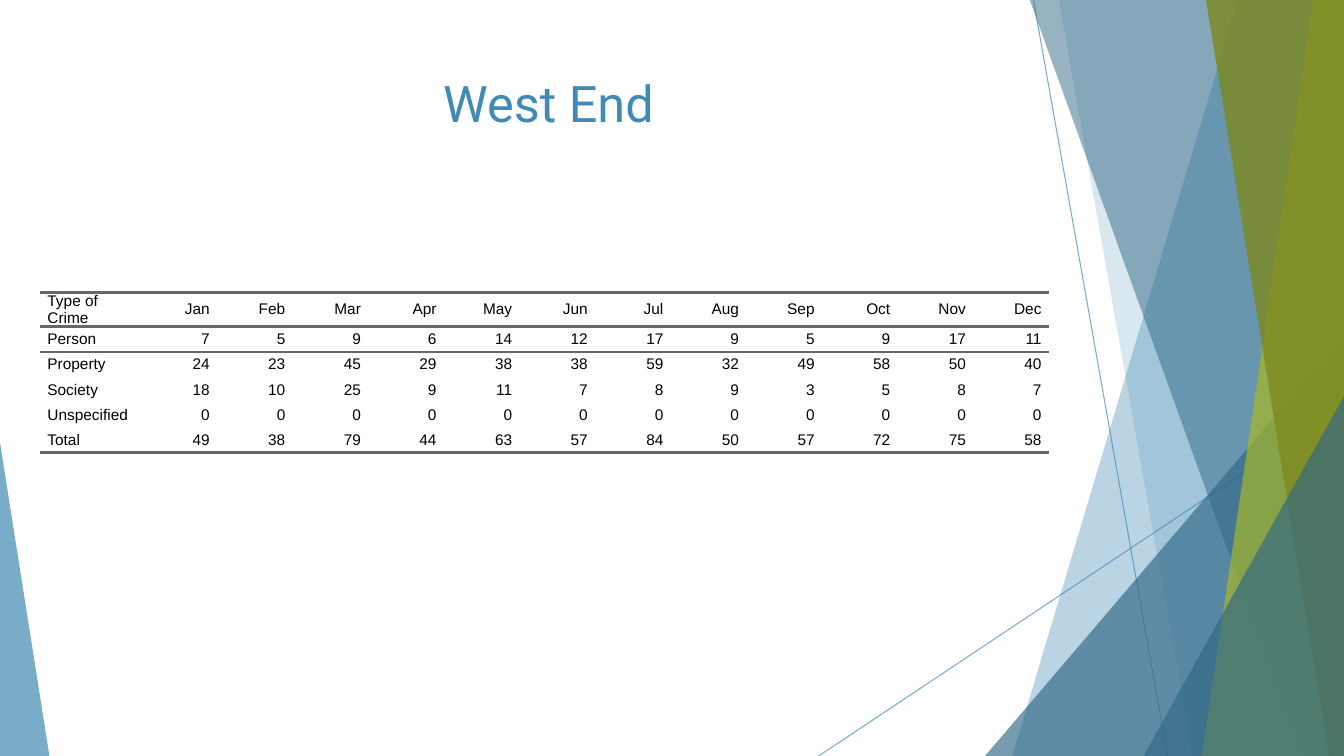
from dataclasses import dataclass

import pptx
import pptx.dml.color
import pptx.enum.shapes
import pptx.enum.text
import pptx.oxml
import pptx.oxml.ns
import pptx.util

Inches = pptx.util.Inches
Pt = pptx.util.Pt
qn = pptx.oxml.ns.qn

WIDTH, HEIGHT = 13.33, 7.5
COLORS = {
    "blue": "418AB3",
    "navy": "316886",
    "lime": "A6B727",
    "olive": "7D891D",
    "rule": "666666",
    "text": "000000",
}


@dataclass
class Ray:
    x1: float
    y1: float
    x2: float
    y2: float


@dataclass
class Panel:
    """Full-height shape from a slanted left side to the slide's right edge."""
    top_x: float
    bottom_x: float
    color: str
    alpha: int


@dataclass
class Wedge:
    """Triangle on the slide's bottom edge with its apex at one end."""
    left: float
    top: float
    width: float
    apex: int
    color: str
    alpha: int


RAYS = [Ray(10.25, 0, 11.58, HEIGHT), Ray(WIDTH, 4.03, 8.12, HEIGHT)]
FACETS = [
    Panel(12.28, 10.04, "blue", 36),
    Panel(10.5, 11.83, "blue", 20),
    Wedge(9.77, 3.33, 3.56, 1, "navy", 66),
    Panel(10.21, 12.91, "navy", 50),
    Panel(13.03, 11.92, "lime", 70),
    Panel(11.96, 13.18, "olive", 80),
    Wedge(11.34, 3.93, 1.99, 1, "navy", 66),
    Wedge(0, 4.39, 0.49, 0, "blue", 70),
]
CRIMES = [
    ["Type of Crime", "Jan", "Feb", "Mar", "Apr", "May", "Jun",
     "Jul", "Aug", "Sep", "Oct", "Nov", "Dec"],
    ["Person", 7, 5, 9, 6, 14, 12, 17, 9, 5, 9, 17, 11],
    ["Property", 24, 23, 45, 29, 38, 38, 59, 32, 49, 58, 50, 40],
    ["Society", 18, 10, 25, 9, 11, 7, 8, 9, 3, 5, 8, 7],
    ["Unspecified", 0, 0, 0, 0, 0, 0, 0, 0, 0, 0, 0, 0],
    ["Total", 49, 38, 79, 44, 63, 57, 84, 50, 57, 72, 75, 58],
]
CELL_FORMAT = {
    "margin_left": 0, "margin_right": 0, "margin_top": 0, "margin_bottom": 0,
    "vertical_anchor": pptx.enum.text.MSO_ANCHOR.MIDDLE,
}
NO_STYLE = "{2D5ABB26-0587-4C30-8999-92F81FD0307C}"


def rgb(name: str) -> pptx.dml.color.RGBColor:
    return pptx.dml.color.RGBColor.from_string(COLORS[name])


def set_color(fill, name: str, alpha: int) -> None:
    """Make the fill solid, with an opacity in percent."""
    fill.solid()
    fill.fore_color.rgb = rgb(name)
    clr = next(fill._xPr.iter(qn("a:srgbClr")))
    pptx.oxml.xmlchemy.OxmlElement  # element factory used below
    clr.append(pptx.oxml.xmlchemy.OxmlElement("a:alpha"))
    clr[-1].set("val", str(alpha * 1000))


def add_ray(shapes, ray: Ray) -> None:
    s = shapes.add_connector(
        pptx.enum.shapes.MSO_CONNECTOR.STRAIGHT,
        *(Inches(v) for v in (ray.x1, ray.y1, ray.x2, ray.y2)))
    s.line.width = Pt(0.75)
    set_color(s.line.fill, "blue", 70)
    s._element.spPr.append(pptx.oxml.xmlchemy.OxmlElement("a:effectLst"))


def add_facet(shapes, facet: Panel | Wedge) -> None:
    if isinstance(facet, Panel):
        top = -0.01
        builder = shapes.build_freeform(
            Inches(facet.top_x), Inches(top), scale=1.0)
        corners = [(WIDTH, top), (WIDTH, HEIGHT), (facet.bottom_x, HEIGHT)]
        builder.add_line_segments([(Inches(x), Inches(y)) for x, y in corners])
        s = builder.convert_to_shape()
    else:
        s = shapes.add_shape(
            pptx.enum.shapes.MSO_SHAPE.ISOSCELES_TRIANGLE,
            Inches(facet.left), Inches(facet.top),
            Inches(facet.width), Inches(HEIGHT - facet.top))
        s.adjustments[0] = facet.apex
    s.shadow.inherit = False
    s.line.fill.background()
    set_color(s.fill, facet.color, facet.alpha)


def write(p, text: str, size: float, font: str, color: str) -> None:
    r = p.add_run()
    r.text = text
    for name, value in {"size": Pt(size), "name": font}.items():
        setattr(r.font, name, value)
    r.font.color.rgb = rgb(color)


def add_rule(cell, tag: str) -> None:
    """Draw one cell border."""
    cell._tc.get_or_add_tcPr().append(pptx.oxml.parse_xml(
        f'<a:{tag} xmlns:a="http://schemas.openxmlformats.org/drawingml/2006/main"'
        f' w="{Pt(2)}"><a:solidFill><a:srgbClr val="{COLORS["rule"]}"/>'
        f'</a:solidFill><a:prstDash val="solid"/></a:{tag}>'))


def add_crime_table(shapes) -> None:
    rows, cols = len(CRIMES), len(CRIMES[0])
    s = shapes.add_table(rows, cols, Inches(0.4), Inches(2.9),
                         Inches(10), Inches(0.25 * rows))
    table = s.table
    table.first_row = table.horz_banding = False
    next(s._element.iter(qn("a:tableStyleId"))).text = NO_STYLE
    for i, column in enumerate(table.columns):
        column.width = Inches(0.75 if i else 1)
    for i, values in enumerate(CRIMES):
        for j, value in enumerate(values):
            cell = table.cell(i, j)
            for name, setting in CELL_FORMAT.items():
                setattr(cell, name, setting)
            # Rules around the header and below the total
            if i in (0, 1):
                add_rule(cell, "lnT")
            if i in (0, rows - 1):
                add_rule(cell, "lnB")
            cell.fill.background()
            p = cell.text_frame.paragraphs[0]
            align = pptx.enum.text.PP_ALIGN
            p.alignment = align.RIGHT if j else align.LEFT
            p.space_before = p.space_after = Pt(5)
            for side in ("marL", "marR"):
                p._p.get_or_add_pPr().set(side, str(Inches(0.07)))
            write(p, str(value), 11, "Arial", "text")


def add_title(shapes) -> None:
    s = shapes.add_textbox(Inches(0.74), Inches(0.67), Inches(9.4), Inches(1.44))
    tf = s.text_frame
    tf.word_wrap = True
    p = tf.paragraphs[0]
    p.alignment = pptx.enum.text.PP_ALIGN.CENTER
    write(p, "West End", 36, "Roboto", "blue")


def main() -> None:
    prs = pptx.Presentation()
    prs.slide_width, prs.slide_height = Inches(WIDTH), Inches(HEIGHT)
    shapes = prs.slides.add_slide(prs.slide_layouts[6]).shapes

    # Background facets
    for ray in RAYS:
        add_ray(shapes, ray)
    for facet in FACETS:
        add_facet(shapes, facet)

    # Content
    add_crime_table(shapes)
    add_title(shapes)
    prs.save("out.pptx")


if __name__ == "__main__":
    main()
